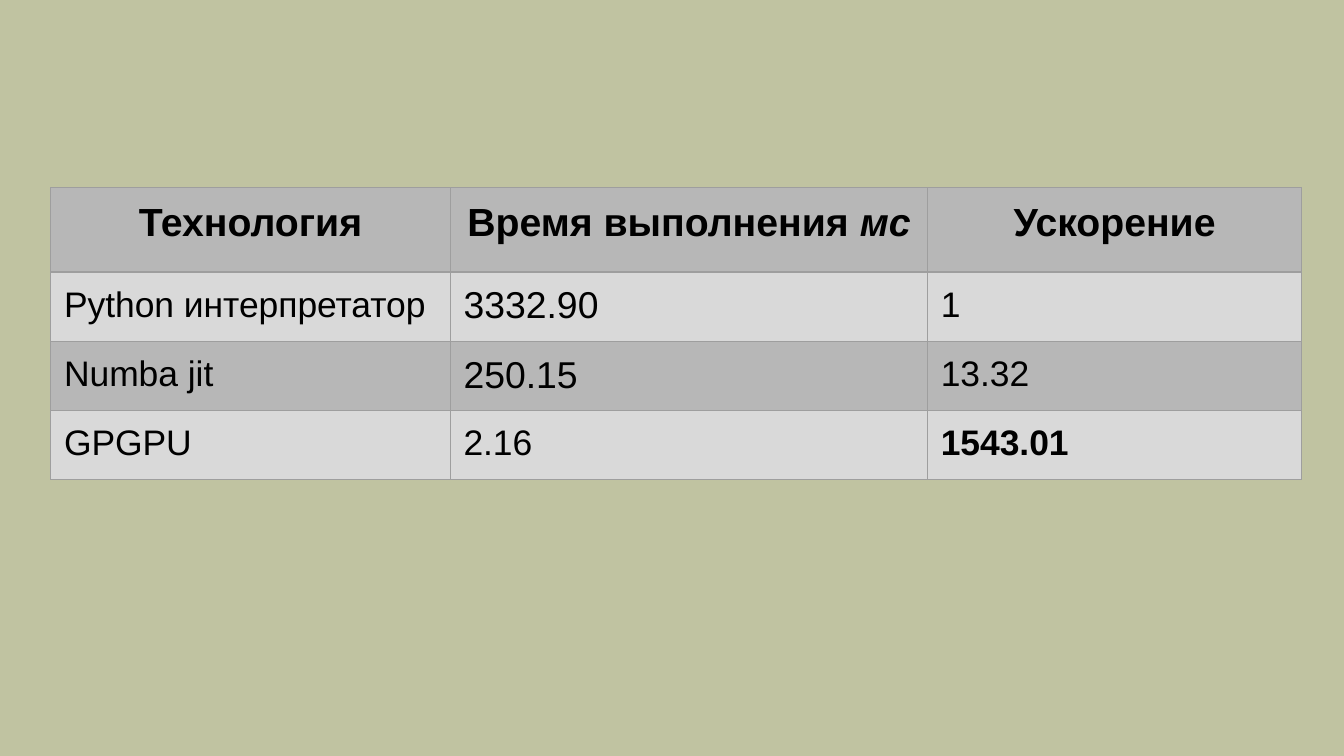
from lxml.etree import SubElement
from pptx import Presentation
from pptx.dml.color import RGBColor
from pptx.enum.text import MSO_ANCHOR as Anchor, PP_ALIGN as Align
from pptx.oxml.ns import qn
from pptx.util import Cm, Pt

COLORS = {
    "background": "C0C3A1",
    "dark": "B7B7B7",
    "light": "D9D9D9",
    "border": "9E9E9E",
    "text": "000000",
}
HEADER = {"name": "Arial", "size": Pt(21), "bold": True}
BODY = {"name": "Arial", "size": Pt(19), "bold": False}
LARGE = {**BODY, "size": Pt(20)}
STRONG = {**BODY, "bold": True}
CELL = {
    "margin_left": Cm(0.25),
    "margin_right": Cm(0.25),
    "margin_top": Cm(0.25),
    "margin_bottom": Cm(0.25),
    "vertical_anchor": Anchor.TOP,
}
COLUMN_WIDTHS = [7.55, 9.02, 7.07]
ROW_HEIGHTS = [1.59, 1.31, 1.31, 1.31]
RESULTS = [
    [
        [("Технология", HEADER)],
        [("Время выполнения ", HEADER), ("мс", {**HEADER, "italic": True})],
        [("Ускорение", HEADER)],
    ],
    [[("Python интерпретатор", BODY)], [("3332.90", LARGE)], [("1", BODY)]],
    [[("Numba jit", BODY)], [("250.15", LARGE)], [("13.32", BODY)]],
    [[("GPGPU", BODY)], [("2.16", BODY)], [("1543.01", STRONG)]],
]


def color(name):
    return RGBColor.from_string(COLORS[name])


def set_format(target, values):
    for name, value in values.items():
        setattr(target, name, value)


def add_borders(cell):
    properties = cell._tc.get_or_add_tcPr()
    for position, side in enumerate(("lnL", "lnR", "lnT", "lnB")):
        line = SubElement(properties, qn(f"a:{side}"), w=str(Pt(0.75)))
        fill = SubElement(line, qn("a:solidFill"))
        SubElement(fill, qn("a:srgbClr"), val=COLORS["border"])
        properties.insert(position, line)


def fill_cell(cell, spans, shade, align):
    set_format(cell, CELL)
    cell.fill.solid()
    cell.fill.fore_color.rgb = color(shade)
    add_borders(cell)
    para = cell.text_frame.paragraphs[0]
    para.alignment = align
    for text, values in spans:
        span = para.add_run()
        span.text = text
        set_format(span.font, values)
        span.font.color.rgb = color("text")


def add_results_table(page, left, top):
    frame = page.shapes.add_table(
        len(RESULTS), len(COLUMN_WIDTHS), Cm(left), Cm(top),
        Cm(sum(COLUMN_WIDTHS)), Cm(sum(ROW_HEIGHTS)),
    )
    table = frame.table
    for column, width in zip(table.columns, COLUMN_WIDTHS):
        column.width = Cm(width)
    for index, (row, height) in enumerate(zip(table.rows, ROW_HEIGHTS)):
        row.height = Cm(height)
        shade = "light" if index % 2 else "dark"
        align = Align.LEFT if index else Align.CENTER
        for cell, spans in zip(row.cells, RESULTS[index]):
            fill_cell(cell, spans, shade, align)


def main():
    deck = Presentation()
    deck.slide_width, deck.slide_height = Cm(25.4), Cm(14.29)
    page = deck.slides.add_slide(deck.slide_layouts[6])
    page.background.fill.solid()
    page.background.fill.fore_color.rgb = color("background")
    add_results_table(page, 0.96, 3.55)
    deck.save("out.pptx")


if __name__ == "__main__":
    main()
